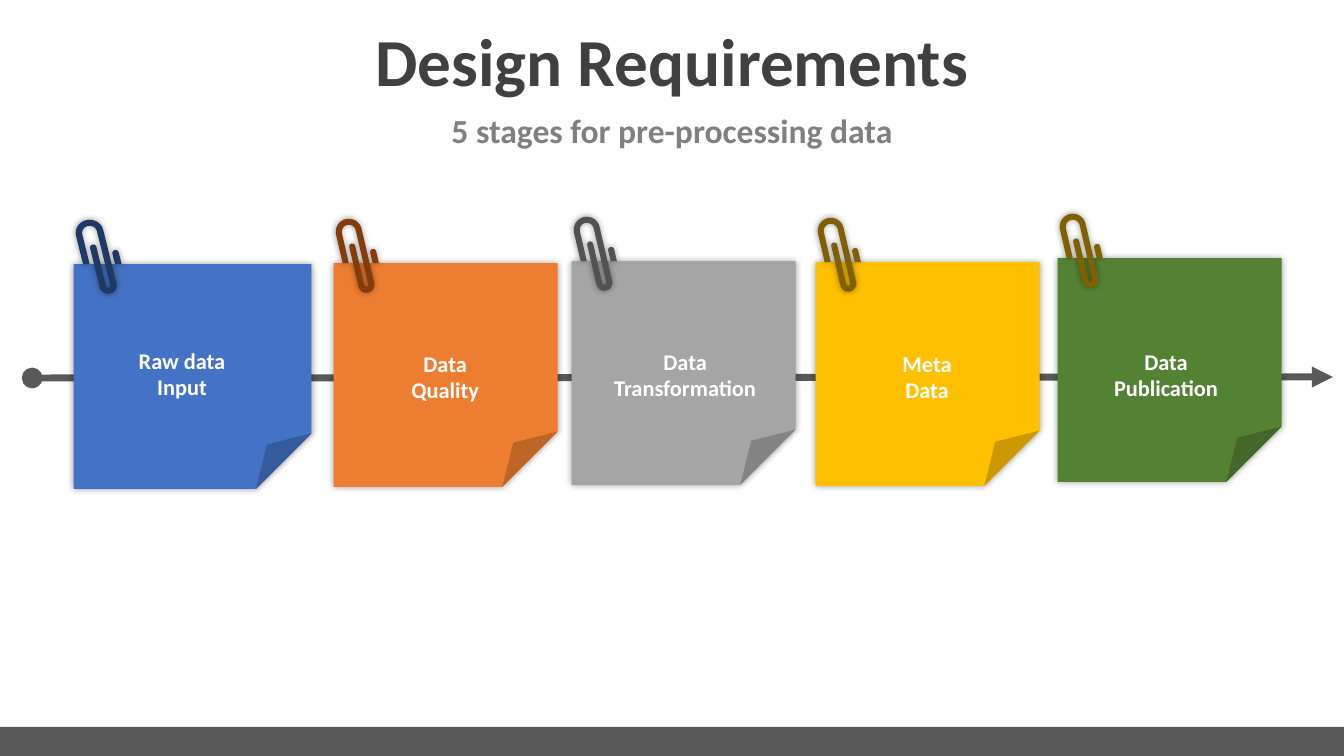
from math import cos, pi, radians, sin

from lxml.etree import SubElement
from pptx import Presentation
from pptx.dml.color import RGBColor
from pptx.enum.shapes import MSO_CONNECTOR as Connector, MSO_SHAPE as Shape
from pptx.enum.text import MSO_ANCHOR as Anchor, PP_ALIGN as Align
from pptx.oxml.ns import qn
from pptx.util import Inches, Pt

# Content
TITLE = "Design Requirements"
SUBTITLE = "5 stages for pre-processing data"
COLORS = {
    "title": "404040", "subtitle": "808080", "bar": "595959", "white": "FFFFFF",
    "shadow": "000000",
    "blue": "4472C4", "orange": "ED7D31", "grey": "A5A5A5",
    "yellow": "FFC000", "green": "548235",
    "navy": "203864", "rust": "843C0B", "slate": "525252", "olive": "806000",
}
# Note (left, top, width, height), caption (left, top, width, height)
STAGES = [
    ("Raw data Input", "blue", "navy", (0.73, 2.62, 2.36, 2.23), (1.04, 3.39, 1.53, 0.64)),
    ("Data Quality", "orange", "rust", (3.31, 2.61, 2.22, 2.22), (3.86, 3.42, 1.11, 0.64)),
    ("Data Transformation", "grey", "slate", (5.67, 2.59, 2.22, 2.22), (5.89, 3.4, 1.81, 0.64)),
    ("Meta Data", "yellow", "olive", (8.09, 2.6, 2.22, 2.22), (8.73, 3.42, 0.93, 0.64)),
    ("Data Publication", "green", "olive", (10.49, 2.56, 2.22, 2.22), (10.83, 3.4, 1.47, 0.65)),
]
FOLD = 24700  # folded part of the note, in 1/100000 of its side
NOTE_WIDTH = 2.22  # a wider note stretches its clip

# Paperclip: bends of a wire, measured from the centre of its top bend
TILT = radians(13.1)
CLIP_X, CLIP_RISE = 0.15, 0.31  # top bend from the note's left and above its top
HALF_WIRE = 0.03
TOP_RADIUS, LOW_RADIUS = 0.1, 0.05
LOW_BEND = (0.05, 0.55)
INNER_END = (0, 0.15)
STUB_END = (0.19, 0.25)


def color(name):
    return RGBColor.from_string(COLORS[name])


def paint(shape, fill):
    shape.shadow.inherit = False
    shape.fill.solid()
    shape.fill.fore_color.rgb = color(fill)
    shape.line.fill.background()


def add_glow(shape):
    effects = shape._element.spPr.find(qn("a:effectLst"))
    shadow = SubElement(effects, qn("a:outerShdw"), blurRad=str(Pt(5)), dist="0", dir="0")
    tone = SubElement(shadow, qn("a:srgbClr"), val=COLORS["shadow"])
    SubElement(tone, qn("a:alpha"), val="40000")


def fold_corner(note):
    guides = note._element.spPr.find(qn("a:prstGeom")).find(qn("a:avLst"))
    SubElement(guides, qn("a:gd"), name="adj", fmla=f"val {FOLD}")


def write(shape, text, size, tint, anchor, spacing=None):
    frame = shape.text_frame
    frame.word_wrap = True
    frame.vertical_anchor = anchor
    para = frame.paragraphs[0]
    para.text = text
    para.alignment = Align.CENTER
    if spacing:
        para.line_spacing = spacing
    para.font.name, para.font.size, para.font.bold = "Calibri", Pt(size), True
    para.font.color.rgb = color(tint)


def bend(center, radius, start, end, steps=16):
    """Points of an arc, with angles in half turns."""
    angles = [pi * (start + (end - start) * i / steps) for i in range(steps + 1)]
    return [(center[0] + radius * cos(a), center[1] - radius * sin(a)) for a in angles]


def cut(across):
    """Point where a leg meets the top edge of the note."""
    return across, (CLIP_RISE + across * sin(TILT)) / cos(TILT)


def clip_outlines():
    outer, inner = TOP_RADIUS + HALF_WIRE, TOP_RADIUS - HALF_WIRE
    wire = [cut(-outer)]
    wire += bend((0, 0), outer, 1, 0)
    wire += bend(LOW_BEND, LOW_RADIUS + HALF_WIRE, 0, -1)
    wire += bend(INNER_END, HALF_WIRE, 1, 0)
    wire += bend(LOW_BEND, LOW_RADIUS - HALF_WIRE, -1, 0)
    wire += bend((0, 0), inner, 0, 1)
    wire.append(cut(-inner))
    stub = [cut(STUB_END[0] - HALF_WIRE), *bend(STUB_END, HALF_WIRE, 1, 0),
            cut(STUB_END[0] + HALF_WIRE)]
    return [wire, stub]


def add_clip(shapes, left, top, stretch, fill):
    def place(point):
        across, down = point
        x = CLIP_X + across * cos(TILT) + down * sin(TILT)
        y = down * cos(TILT) - across * sin(TILT) - CLIP_RISE
        return Inches(left + x * stretch), Inches(top + y)

    wire, stub = [[place(p) for p in outline] for outline in clip_outlines()]
    builder = shapes.build_freeform(*wire[0])
    builder.add_line_segments(wire[1:], close=True)
    builder.move_to(*stub[0])
    builder.add_line_segments(stub[1:], close=True)
    clip = builder.convert_to_shape()
    paint(clip, fill)
    add_glow(clip)


def main():
    deck = Presentation()
    deck.slide_width, deck.slide_height = Inches(13.33), Inches(7.5)
    page = deck.slides.add_slide(deck.slide_layouts[6])
    shapes = page.shapes

    # Footer bar and headings
    bar = shapes.add_shape(Shape.RECTANGLE, 0, Inches(7.21), deck.slide_width, Inches(0.29))
    paint(bar, "bar")
    for text, top, height, size, tint, spacing in [
        (TITLE, 0.22, 0.85, 48, "title", 0.9),
        (SUBTITLE, 1.1, 0.46, 24, "subtitle", 0.8),
    ]:
        box = shapes.add_textbox(0, Inches(top), deck.slide_width, Inches(height))
        write(box, text, size, tint, Anchor.MIDDLE, spacing)

    # Timeline arrow
    arrow = shapes.add_connector(
        Connector.STRAIGHT, Inches(0.32), Inches(3.75), Inches(13.22), Inches(3.74))
    arrow.line.color.rgb = color("bar")
    arrow.line.width = Pt(5)
    stroke = arrow._element.spPr.find(qn("a:ln"))
    SubElement(stroke, qn("a:headEnd"), type="oval")
    SubElement(stroke, qn("a:tailEnd"), type="triangle")
    SubElement(arrow._element.spPr, qn("a:effectLst"))

    # Notes with clips and captions
    for text, fill, clip_fill, note_area, caption_area in STAGES:
        note = shapes.add_shape(Shape.FOLDED_CORNER, *map(Inches, note_area))
        fold_corner(note)
        paint(note, fill)
        add_glow(note)
        left, top, width, _ = note_area
        add_clip(shapes, left, top, width / NOTE_WIDTH, clip_fill)
        caption = shapes.add_shape(Shape.RECTANGLE, *map(Inches, caption_area))
        paint(caption, fill)
        write(caption, text, 16, "white", Anchor.TOP)

    deck.save("out.pptx")


if __name__ == "__main__":
    main()
